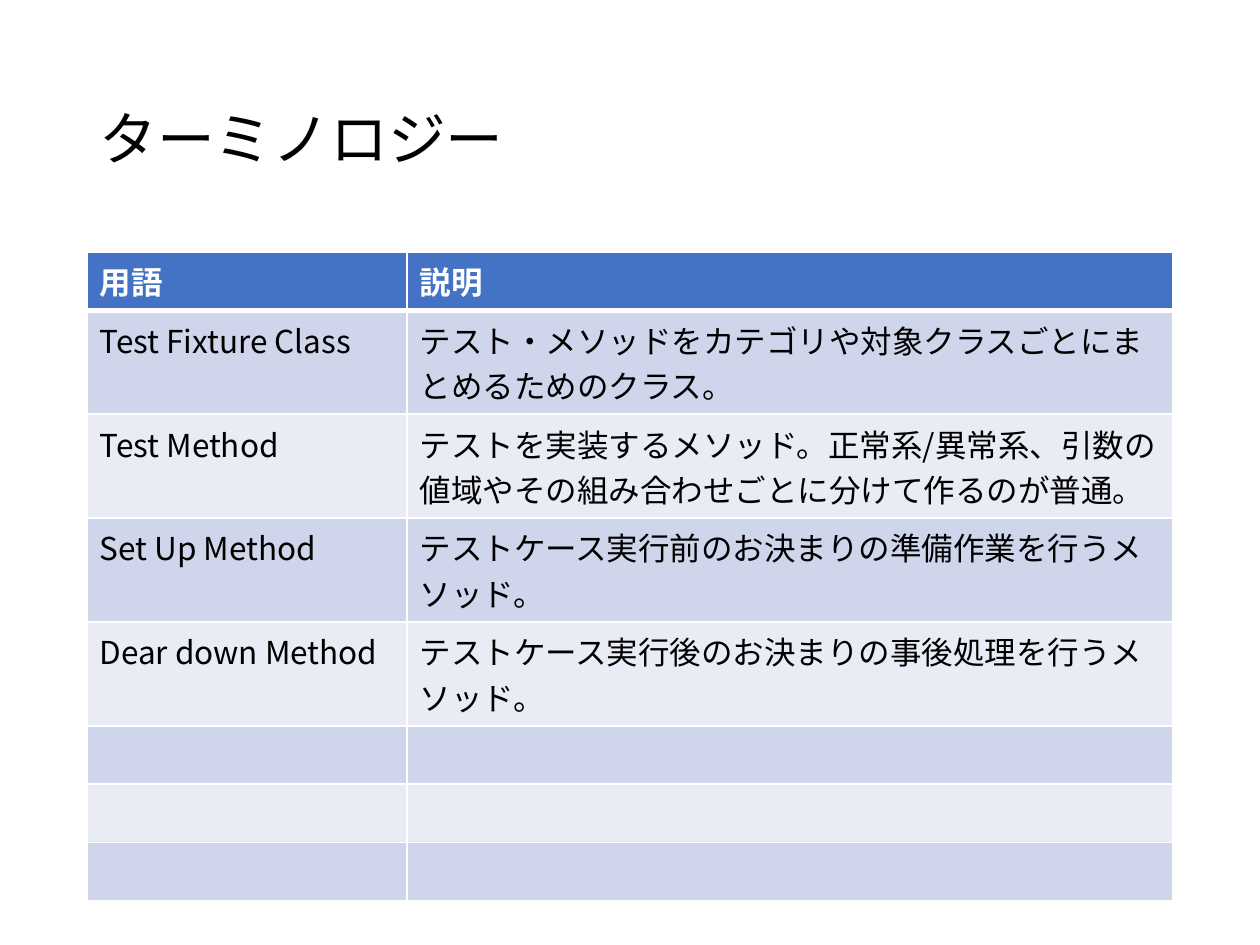
from lxml import etree
from pptx import Presentation
from pptx import util as u
from pptx.dml.color import RGBColor
from pptx.enum import lang, text
from pptx.oxml.ns import qn

FONT = "Noto Sans CJK JP"
WHITE, BLACK, HEADER = "FFFFFF", "000000", "4472C4"
BANDS = ("CFD5EA", "E9EBF5")
LEFT, WIDTH = 0.69, 8.62
COLUMNS = (2.54, 6.08)
CELL_PADDING, LINE_PITCH = 7.2, 26.1  # points

# Term, description, lines of text in the row
TERMS = [
    ("用語", "説明", 1),
    ("Test Fixture Class", "テスト・メソッドをカテゴリや対象クラスごとにまとめるためのクラス。", 2),
    ("Test Method", "テストを実装するメソッド。正常系/異常系、引数の値域やその組み合わせごとに分けて作るのが普通。", 2),
    ("Set Up Method", "テストケース実行前のお決まりの準備作業を行うメソッド。", 2),
    ("Dear down Method", "テストケース実行後のお決まりの事後処理を行うメソッド。", 2),
] + [("", "", 1)] * 3


def color(value):
    return RGBColor.from_string(value)


def row_height(lines):
    return u.Pt(CELL_PADDING + LINE_PITCH * lines)


def add_run(p, words, size, fill, bold=False):
    r = p.add_run()
    r.text = words
    r.font.size = u.Pt(size)
    r.font.bold = bold
    r.font.name = FONT
    r.font.color.rgb = color(fill)
    r.font.language_id = lang.MSO_LANGUAGE_ID.JAPANESE
    etree.SubElement(r.font._element, qn("a:ea"), typeface=FONT)


def set_borders(cell, bottom):
    """Draw white cell borders; they must come before the cell's fill."""
    tcPr = cell._tc.get_or_add_tcPr()
    for side, points in (("L", 1), ("R", 1), ("T", 1), ("B", bottom)):
        ln = etree.SubElement(tcPr, qn(f"a:ln{side}"), w=str(u.Pt(points)))
        fill = etree.SubElement(ln, qn("a:solidFill"))
        etree.SubElement(fill, qn("a:srgbClr"), val=WHITE)


def add_title(slide, box, words):
    sp = slide.shapes.add_textbox(*map(u.Inches, box))
    tf = sp.text_frame
    tf.word_wrap = True
    tf.vertical_anchor = text.MSO_ANCHOR.MIDDLE
    p = tf.paragraphs[0]
    p.line_spacing = 0.9
    add_run(p, words, 33, BLACK)


def add_terms(slide, left, top, width, rows):
    height = sum(row_height(lines) for *_, lines in rows)
    frame = slide.shapes.add_table(
        len(rows), len(COLUMNS), u.Inches(left), u.Inches(top), u.Inches(width), height)
    table = frame.table
    for column, share in zip(table.columns, COLUMNS):
        column.width = u.Inches(share)
    for i, (*cells, lines) in enumerate(rows):
        table.rows[i].height = row_height(lines)
        head = i == 0
        for j, words in enumerate(cells):
            cell = table.cell(i, j)
            set_borders(cell, 3 if head else 1)
            cell.fill.solid()
            cell.fill.fore_color.rgb = color(HEADER if head else BANDS[(i - 1) % 2])
            if words:
                p = cell.text_frame.paragraphs[0]
                add_run(p, words, 18, WHITE if head else BLACK, head)


def main():
    prs = Presentation()
    prs.slide_width, prs.slide_height = u.Inches(10), u.Inches(7.5)
    slide = prs.slides.add_slide(prs.slide_layouts[6])
    # Heading
    add_title(slide, (LEFT, 0.4, WIDTH, 1.45), "ターミノロジー")
    # Glossary
    add_terms(slide, LEFT, 2, WIDTH, TERMS)
    prs.save("out.pptx")


if __name__ == "__main__":
    main()
